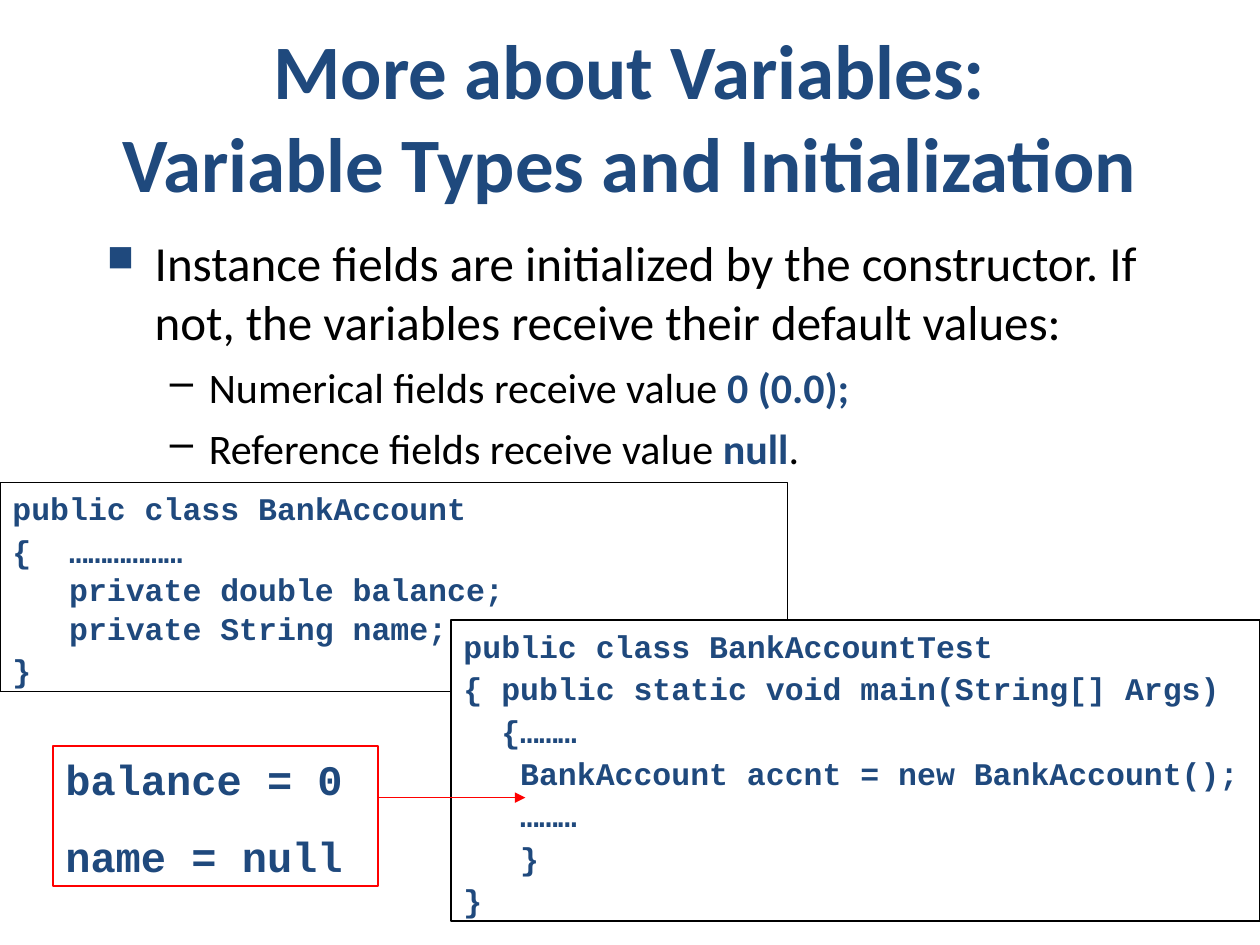
from dataclasses import dataclass

import lxml.etree
import pptx
import pptx.dml.color
import pptx.enum.shapes
import pptx.enum.text
import pptx.oxml.ns
import pptx.util
from pptx.util import Inches

NAVY, BLACK, WHITE, RED = "1F497D", "000000", "FFFFFF", "FF0000"
LINE_HEIGHT = 1.22


@dataclass
class Span:
    text: str
    strong: bool = False


@dataclass
class Bullet:
    spans: list[Span]
    level: int
    size: float
    space_before: float
    left: float
    hanging: float
    mark: str
    mark_color: str
    mark_percent: int = 100


@dataclass
class CodeBox:
    left: float
    top: float
    width: float
    height: float
    border: str
    fill: str | None
    size: float
    space_before: float
    lines: list[str]
    tight_lines: tuple[int, ...] = ()


BULLETS = [
    Bullet([Span("Instance fields are initialized by the constructor. "
                 "If not, the variables receive their default values:")],
           0, 28, 7, 0.38, 0.38, "■", NAVY, 75),
    Bullet([Span("Numerical fields receive value "), Span("0 (0.0);", True)],
           1, 24, 6, 0.81, 0.31, "–", BLACK),
    Bullet([Span("Reference fields receive value "), Span("null", True), Span(".")],
           1, 24, 6, 0.81, 0.31, "–", BLACK),
]

CODE_BOXES = [
    CodeBox(0, 3.83, 6.25, 1.66, BLACK, WHITE, 18, 2.2, [
        "public class BankAccount",
        "{  ………………",
        "   private double balance;",
        "   private String name;",
        "}",
    ], tight_lines=(2, 3)),
    CodeBox(3.58, 4.92, 6.42, 2.39, BLACK, WHITE, 18, 2.2, [
        "public class BankAccountTest",
        "{ public static void main(String[] Args)",
        "  {………",
        "   BankAccount accnt = new BankAccount();",
        "   ………",
        "   }",
        "}",
    ]),
    CodeBox(0.42, 5.92, 2.58, 1.11, RED, None, 24, 15,
            ["balance = 0", "name = null"]),
]


def color(value: str) -> pptx.dml.color.RGBColor:
    return pptx.dml.color.RGBColor.from_string(value)


def set_font(font, name: str, size: float, value: str, bold: bool = False) -> None:
    font.name = name
    font.size = pptx.util.Pt(size)
    font.bold = bold
    font.color.rgb = color(value)


def add_child(parent, tag: str, **attributes: str):
    child = lxml.etree.SubElement(parent, pptx.oxml.ns.qn(tag))
    for name, value in attributes.items():
        child.set(name, value)
    return child


def next_paragraph(frame, index: int):
    return frame.add_paragraph() if index else frame.paragraphs[0]


def add_title(page) -> None:
    box = page.shapes.add_textbox(Inches(0.75), Inches(0.25), Inches(8.5), Inches(1.33))
    frame = box.text_frame
    frame.word_wrap = True
    frame.vertical_anchor = pptx.enum.text.MSO_ANCHOR.MIDDLE
    para = frame.paragraphs[0]
    para.text = "More about Variables:\vVariable Types and Initialization"
    para.alignment = pptx.enum.text.PP_ALIGN.CENTER
    set_font(para.font, "Calibri", 44, NAVY, True)


def set_bullet(para, bullet: Bullet) -> None:
    """Give the paragraph its hanging indent and mark; call before setting its font."""
    properties = para._p.get_or_add_pPr()
    properties.set("marL", str(Inches(bullet.left)))
    properties.set("indent", str(-Inches(bullet.hanging)))
    mark_color = add_child(properties, "a:buClr")
    add_child(mark_color, "a:srgbClr", val=bullet.mark_color)
    add_child(properties, "a:buSzPct", val=str(bullet.mark_percent * 1000))
    add_child(properties, "a:buChar", char=bullet.mark)


def add_bullets(page, bullets: list[Bullet]) -> None:
    box = page.shapes.add_textbox(Inches(0.75), Inches(1.8), Inches(8.5), Inches(4.87))
    frame = box.text_frame
    frame.word_wrap = True
    for index, bullet in enumerate(bullets):
        para = next_paragraph(frame, index)
        para.level = bullet.level
        para.space_before = pptx.util.Pt(bullet.space_before)
        set_bullet(para, bullet)
        set_font(para.font, "Calibri", bullet.size, BLACK)
        for span in bullet.spans:
            run = para.add_run()
            run.text = span.text
            if span.strong:
                run.font.bold = True
                run.font.color.rgb = color(NAVY)


def add_code_box(page, code: CodeBox) -> None:
    box = page.shapes.add_shape(
        pptx.enum.shapes.MSO_SHAPE.RECTANGLE,
        Inches(code.left), Inches(code.top), Inches(code.width), Inches(code.height))
    box.shadow.inherit = False
    if code.fill:
        box.fill.solid()
        box.fill.fore_color.rgb = color(code.fill)
    else:
        box.fill.background()
    box.line.color.rgb = color(code.border)
    box.line.width = pptx.util.Pt(1)
    frame = box.text_frame
    frame.word_wrap = True
    frame.vertical_anchor = pptx.enum.text.MSO_ANCHOR.TOP
    for index, line in enumerate(code.lines):
        para = next_paragraph(frame, index)
        para.text = line
        para.alignment = pptx.enum.text.PP_ALIGN.LEFT
        para.line_spacing = pptx.util.Pt(round(code.size * LINE_HEIGHT, 1))
        para.space_before = pptx.util.Pt(0 if index in code.tight_lines else code.space_before)
        set_font(para.font, "Courier New", code.size, NAVY, True)


def add_arrow(page, start: float, end: float, height: float) -> None:
    arrow = page.shapes.add_connector(
        pptx.enum.shapes.MSO_CONNECTOR.STRAIGHT,
        Inches(start), Inches(height), Inches(end), Inches(height))
    arrow.line.color.rgb = color(RED)
    arrow.line.width = pptx.util.Pt(1)
    add_child(arrow.line._get_or_add_ln(), "a:tailEnd", type="triangle")
    add_child(arrow._element.spPr, "a:effectLst")


def main() -> None:
    deck = pptx.Presentation()
    deck.slide_width, deck.slide_height = Inches(10), Inches(7.5)
    page = deck.slides.add_slide(deck.slide_layouts[6])
    add_title(page)
    add_bullets(page, BULLETS)
    for code in CODE_BOXES:
        add_code_box(page, code)
    add_arrow(page, 3, 4.17, 6.33)
    deck.save("out.pptx")


if __name__ == "__main__":
    main()
